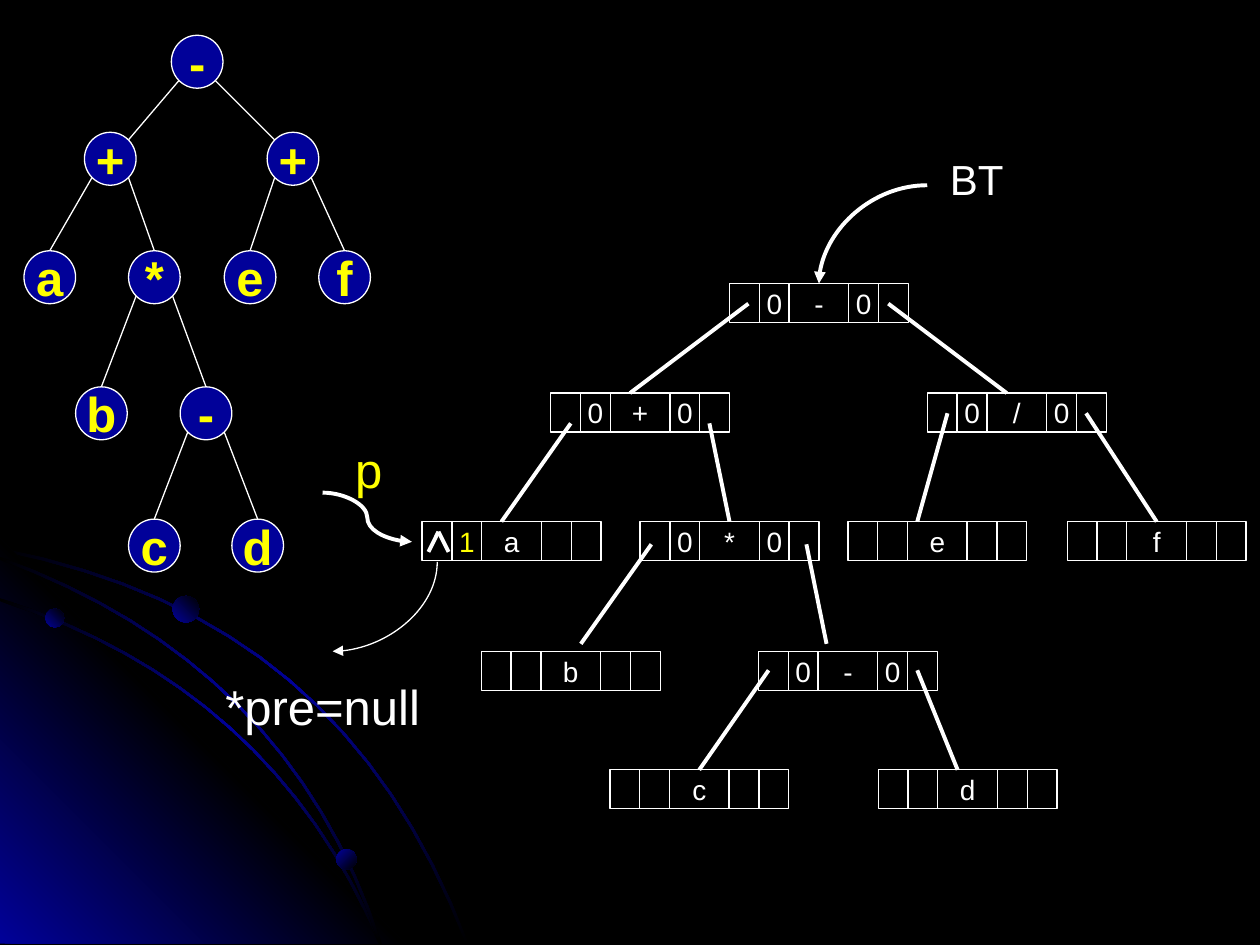
from collections import namedtuple
from math import comb

from lxml import etree
from pptx import Presentation
from pptx.dml.color import RGBColor
from pptx.enum.shapes import MSO_CONNECTOR, MSO_SHAPE
from pptx.enum.text import MSO_ANCHOR, MSO_AUTO_SIZE, PP_ALIGN
from pptx.oxml import parse_xml
from pptx.oxml.ns import nsdecls, qn
from pptx.util import Inches, Pt

COLORS = {"back": "000000", "line": "FFFFFF", "mark": "FFFF00", "node": "010199"}
GLOW = ("back", "node", "back")

Orbit = namedtuple("Orbit", "start lead trail end")
ORBITS = [Orbit((0, 0.09), (1.86, 0.46), (3.03, 1.45), (3.71, 3.22)),
          Orbit((0, 0.49), (1.43, 0.95), (2.44, 1.84), (3.02, 3.22)),
          Orbit((0, 0.16), (1.5, 0.71), (2.53, 1.7), (3.02, 3.22))]
STEPS = 16
DOTS = [(0.36, 0.56, 0.15, 315), (2.67, 2.47, 0.16, 45), (1.37, 0.46, 0.21, 315)]

FORKS = {"root": ("sum", "right"), "sum": ("a", "times"), "right": ("e", "f"),
         "times": ("b", "minus"), "minus": ("c", "d")}

Node = namedtuple("Node", "text left top")
ROWS = (0, 0.77, 1.71, 2.79, 3.84)
NODES = {"root": Node("-", 1.17, ROWS[0]),
         "sum": Node("+", 0.48, ROWS[1]), "right": Node("+", 1.93, ROWS[1]),
         "a": Node("a", 0, ROWS[2]), "times": Node("*", 0.83, ROWS[2]),
         "e": Node("e", 1.59, ROWS[2]), "f": Node("f", 2.34, ROWS[2]),
         "b": Node("b", 0.41, ROWS[3]), "minus": Node("-", 1.24, ROWS[3]),
         "c": Node("c", 0.83, ROWS[4]), "d": Node("d", 1.65, ROWS[4])}

WIDTH, HEIGHT = 1.42, 0.31
UNIT, MID = WIDTH / 6, WIDTH / 2
SPANS = (1, 1, 2, 1, 1)
Record = namedtuple("Record", "text left top land")
TIERS = (0, 0.87, 1.89, 2.92, 3.86)
RECORDS = {"root": Record("-", 2.44, TIERS[0], MID),
           "sum": Record("+", 1.02, TIERS[1], 0.63),
           "right": Record("/", 4.01, TIERS[1], 0.63),
           "a": Record("a", 0, TIERS[2], 0.63), "times": Record("*", 1.73, TIERS[2], MID),
           "e": Record("e", 3.38, TIERS[2], 0.55), "f": Record("f", 5.12, TIERS[2], MID),
           "b": Record("b", 0.47, TIERS[3], 0.79), "minus": Record("-", 2.67, TIERS[3], 0.54),
           "c": Record("c", 1.49, TIERS[4], MID), "d": Record("d", 3.62, TIERS[4], 0.63)}

Exit = namedtuple("Exit", "left right drop gap")
EXITS = {"root": Exit(0.15, 1.26, 0.16, 0), "sum": Exit(0.16, 1.26, 0.24, 0),
         "right": Exit(0.16, 1.26, 0.16, 0), "times": Exit(0.09, 1.32, 0.18, 0.06),
         "minus": Exit(0.08, 1.26, 0.15, 0)}


def hue(name):
    """Return the named colour."""
    return RGBColor.from_string(COLORS[name])


def write(shape, text, size, color="line", bold=False):
    """Put one unwrapped line of text in a shape."""
    frame = shape.text_frame
    frame.word_wrap = False
    frame.text = text
    for run in frame.paragraphs[0].runs:
        font = run.font
        font.name, font.size, font.bold = "Arial", Pt(size), bold
        font.color.rgb = hue(color)


def blend(shape, names, angle):
    """Fill a borderless shape with evenly spaced gradient stops."""
    shape.shadow.inherit = False
    shape.line.fill.background()
    step = 100000 // (len(names) - 1)
    stops = "".join(f'<a:gs pos="{i * step}"><a:srgbClr val="{COLORS[name]}"/></a:gs>'
                    for i, name in enumerate(names))
    fill = parse_xml(f'<a:gradFill {nsdecls("a")} rotWithShape="1"><a:gsLst>{stops}</a:gsLst>'
                     f'<a:lin ang="{angle * 60000}" scaled="1"/></a:gradFill>')
    shape._element.spPr.find(qn("a:ln")).addprevious(fill)


def figure(slide, kind, box, text, size, color, fill=None, bold=False):
    """Draw an outlined shape with centred text."""
    shape = slide.shapes.add_shape(kind, *map(Inches, box))
    shape.shadow.inherit = False
    if fill:
        shape.fill.solid()
        shape.fill.fore_color.rgb = hue(fill)
    else:
        shape.fill.background()
    shape.line.color.rgb = hue("line")
    shape.line.width = Pt(0.75)
    if text:
        write(shape, text, size, color, bold)
        shape.text_frame.vertical_anchor = MSO_ANCHOR.MIDDLE
        shape.text_frame.paragraphs[0].alignment = PP_ALIGN.CENTER
    return shape


def link(slide, ends, width, kind=MSO_CONNECTOR.STRAIGHT, arrow=False):
    """Draw a white connector between two points."""
    line = slide.shapes.add_connector(kind, *map(Inches, ends))
    line.line.color.rgb = hue("line")
    line.line.width = Pt(width)
    props = line._element.spPr
    if arrow:
        etree.SubElement(props.find(qn("a:ln")), qn("a:tailEnd"), type="triangle")
    etree.SubElement(props, qn("a:effectLst"))
    return line


def curve(slide, ends, width, bends=2, turn=0):
    """Draw a curved arrow with a given number of parts and turn."""
    props = link(slide, ends, width, MSO_CONNECTOR.CURVE, True)._element.spPr
    props.find(qn("a:prstGeom")).set("prst", f"curvedConnector{bends}")
    if turn:
        props.find(qn("a:xfrm")).set("rot", str(turn * 60000))


def outline(slide, x, y, points):
    """Build a closed outline from points in inches."""
    first, *rest = [(round(a * 1000), round(b * 1000)) for a, b in points]
    path = slide.shapes.build_freeform(*first, scale=Inches(0.001))
    path.add_line_segments(rest, close=True)
    return path.convert_to_shape(Inches(x), Inches(y))


def ribbon(orbit, half=0.012):
    """Return the two edges of a thin band along a cubic Bezier curve."""
    outer, inner = [], []
    for i in range(STEPS + 1):
        t = i / STEPS
        shares = [comb(3, k) * t ** k * (1 - t) ** (3 - k) for k in range(4)]
        a, b = (sum(s * v for s, v in zip(shares, axis)) for axis in zip(*orbit))
        across, down = half * t, half * (1 - t)
        outer.append((a + across, b - down))
        inner.append((a - across, b + down))
    return outer + inner[::-1]


def backdrop(slide, x, y):
    """Draw the corner glow, its orbits and their dots."""
    side = 3.22
    first, *rest = ORBITS
    blend(outline(slide, x, y, ribbon(first)), GLOW, 45)
    wedge = [(side, side), (0, side), (0, 0)]
    blend(outline(slide, x, y, wedge), ("node", "back", "node"), 315)
    for orbit in rest:
        blend(outline(slide, x, y, ribbon(orbit)), GLOW, 45)
    for left, top, size, angle in DOTS:
        box = map(Inches, (x + left, y + top, size, size))
        blend(slide.shapes.add_shape(MSO_SHAPE.OVAL, *box), ("node", "back"), angle)


def tree(slide, x, y):
    """Draw the expression tree of round nodes."""
    wide, tall, near, far, low = 0.41, 0.42, 0.06, 0.35, 0.36
    ovals = {name: figure(slide, MSO_SHAPE.OVAL, (x + node.left, y + node.top, wide, tall),
                          node.text, 28, "mark", "node", True)
             for name, node in NODES.items()}
    for name, kids in FORKS.items():
        stem = NODES[name]
        for kid, start, end in zip(kids, (near, far), (far, near)):
            goal = NODES[kid]
            line = link(slide, (x + stem.left + start, y + stem.top + low,
                                x + goal.left + end, y + goal.top + near), 0.75)
            if name != "root":
                line.end_connect(ovals[kid], 0)


def record(slide, x, y, text, tags):
    """Draw a five-cell record and return its middle cell."""
    cells, left = [], x
    for mark, span in zip(("", tags[0], text, tags[1], ""), SPANS):
        color = "mark" if mark == "1" else "line"
        box = (left, y, span * UNIT, HEIGHT)
        cells.append(figure(slide, MSO_SHAPE.RECTANGLE, box, mark, 16, color))
        left += span * UNIT
    return cells[2]


def threads(slide, x, y):
    """Draw the linked records, their links and the null mark."""
    mids = {}
    for name, item in RECORDS.items():
        tags = ("0", "0") if name in FORKS else ("1" if name == "a" else "", "")
        mids[name] = record(slide, x + item.left, y + item.top, item.text, tags)
    for name, kids in FORKS.items():
        stem, out = RECORDS[name], EXITS[name]
        for kid, start in zip(kids, (out.left, out.right)):
            goal = RECORDS[kid]
            line = link(slide, (x + stem.left + start, y + stem.top + out.drop,
                                x + goal.left + goal.land, y + goal.top - out.gap), 2.25)
            if goal.land == MID and not out.gap:
                line.end_connect(mids[kid], 0)
    peak, base = y + TIERS[2] + 0.08, y + TIERS[2] + 0.24
    for foot in (0.05, 0.21):
        link(slide, (x + foot, base, x + 0.13, peak), 2.25)


def label(slide, box, text, size, color="line"):
    """Add a free text label."""
    shape = slide.shapes.add_textbox(*map(Inches, box))
    write(shape, text, size, color)
    shape.text_frame.auto_size = MSO_AUTO_SIZE.SHAPE_TO_FIT_TEXT


def notes(slide, x, y):
    """Add the pointer labels and their curved arrows."""
    label(slide, (x + 1.03, y + 2.27, 0.42, 0.57), "p", 28, "mark")
    label(slide, (x + 5.75, y, 0.63, 0.5), "BT", 24)
    label(slide, (x, y + 4.15, 1.75, 0.57), "*pre=null", 28)
    curve(slide, (x + 5.67, y + 0.3, x + 4.81, y + 1.08), 2.25)
    curve(slide, (x + 0.87, y + 2.74, x + 1.58, y + 3.13), 2.25, bends=3)
    curve(slide, (x + 1.01, y + 3.23, x + 1.72, y + 4.06), 0.75, turn=90)


def main():
    """Build and save the slide."""
    deck = Presentation()
    deck.slide_width, deck.slide_height = Inches(10), Inches(7.5)
    slide = deck.slides.add_slide(deck.slide_layouts[6])
    slide.background.fill.solid()
    slide.background.fill.fore_color.rgb = hue("back")
    backdrop(slide, 0, 4.27)
    threads(slide, 3.35, 2.25)
    tree(slide, 0.19, 0.28)
    notes(slide, 1.69, 1.17)
    deck.save("out.pptx")


if __name__ == "__main__":
    main()
